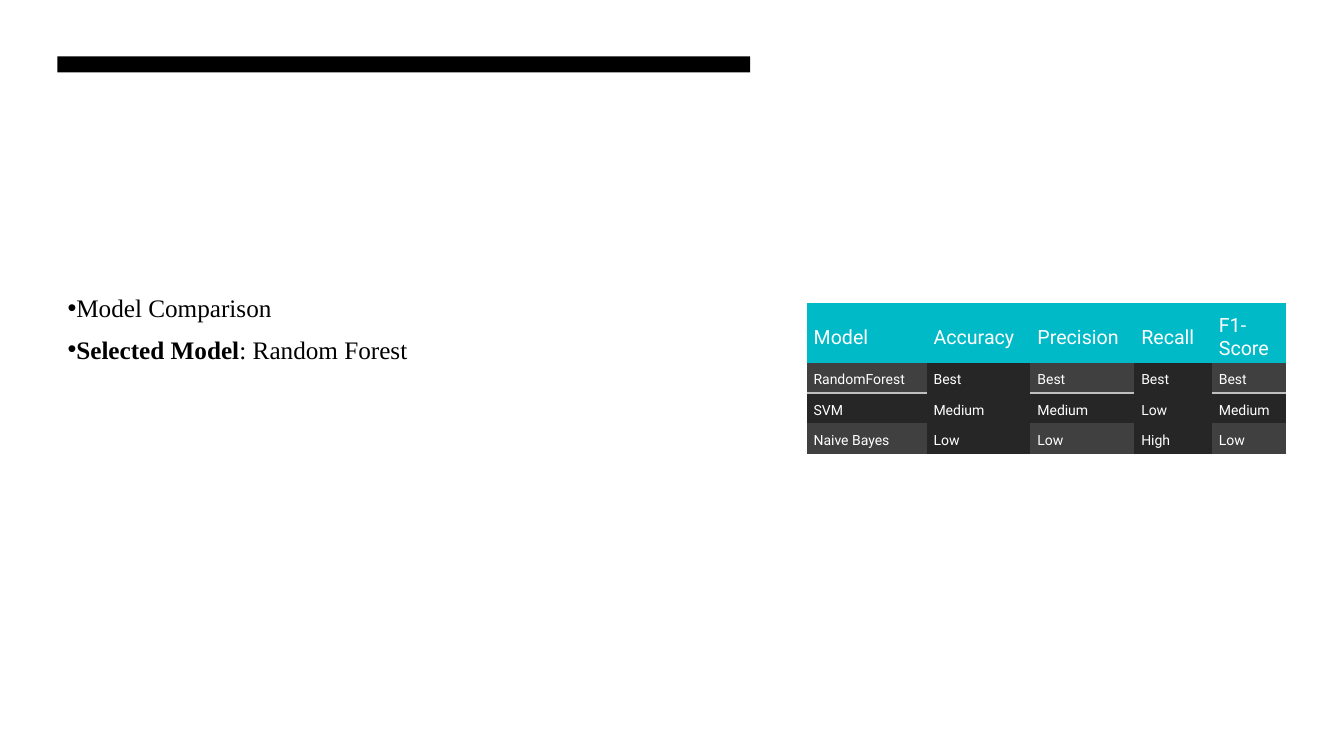
"""Build the model comparison slide."""
import dataclasses

import pptx
import pptx.dml.color
import pptx.enum.shapes
import pptx.enum.text
import pptx.oxml
import pptx.oxml.ns
import pptx.util

Inches = pptx.util.Inches
Pt = pptx.util.Pt
COLORS = {
    "white": "FFFFFF", "black": "000000", "header": "00BAC8",
    "dark": "262626", "band": "404040", "rule": "BFBFBF",
}


@dataclasses.dataclass(frozen=True)
class Column:
    """A table column with its heading and ratings."""
    width: float
    texts: tuple[str, ...]


COLUMNS = (
    Column(1.19, ("Model", "RandomForest", "SVM", "Naive Bayes")),
    Column(1.03, ("Accuracy", "Best", "Medium", "Low")),
    Column(1.03, ("Precision", "Best", "Medium", "Low")),
    Column(0.77, ("Recall", "Best", "Low", "High")),
    Column(0.74, ("F1-Score", "Best", "Medium", "Low")),
)
ROW_HEIGHTS = (0.59, 0.3, 0.3, 0.3)
BULLETS = (
    (("Model Comparison", False),),
    (("Selected Model", True), (": Random Forest", False)),
)


def rgb(name: str) -> pptx.dml.color.RGBColor:
    """Return a palette colour."""
    return pptx.dml.color.RGBColor.from_string(COLORS[name])


def paint(fill, name: str) -> None:
    """Fill with a solid palette colour."""
    fill.solid()
    fill.fore_color.rgb = rgb(name)


def xml(tag: str, attrs: str = "", inner: str = ""):
    """Make a DrawingML element."""
    ns = pptx.oxml.ns.nsdecls("a")
    return pptx.oxml.parse_xml(f"<a:{tag} {ns} {attrs}>{inner}</a:{tag}>")


def add_text(p, text: str, *, font: str, size: float, color: str,
             bold: bool = False) -> None:
    """Append a formatted run to a paragraph."""
    r = p.add_run()
    r.text = text
    r.font.name, r.font.size, r.font.bold = font, Pt(size), bold
    r.font.color.rgb = rgb(color)


def add_bar(s) -> None:
    """Draw the black bar at the top."""
    sp = s.shapes.add_shape(pptx.enum.shapes.MSO_SHAPE.RECTANGLE,
                            Inches(0.57), Inches(0.56), Inches(6.87), Inches(0.16))
    sp.shadow.inherit = False
    paint(sp.fill, "black")
    sp.line.fill.background()


def fill_body(sp) -> None:
    """Place the body placeholder and write the bullets."""
    sp.left, sp.top = Inches(0.57), Inches(2.82)
    sp.width, sp.height = Inches(6.87), Inches(4.12)
    tf = sp.text_frame
    tf.word_wrap = True
    tf.auto_size = pptx.enum.text.MSO_AUTO_SIZE.NONE
    tf.vertical_anchor = pptx.enum.text.MSO_ANCHOR.TOP
    for i, runs in enumerate(BULLETS):
        p = tf.add_paragraph() if i else tf.paragraphs[0]
        p.line_spacing, p.space_before, p.space_after = 1.1, Pt(0), Pt(6)
        pPr = p._p.get_or_add_pPr()
        pPr.set("marL", "0")
        pPr.set("indent", str(-Inches(0.25)))
        pPr.append(xml("buFont", 'typeface="Arial"'))
        pPr.append(xml("buChar", 'char="•"'))
        for text, bold in runs:
            add_text(p, text, font="Times New Roman", size=18, color="black", bold=bold)


def set_borders(cell, ruled: str) -> None:
    """Rule one side of a cell and clear the others."""
    tcPr = cell._tc.get_or_add_tcPr()
    for i, side in enumerate(("lnL", "lnR", "lnT", "lnB")):
        inner = "<a:noFill/>"
        if side == ruled:
            inner = f'<a:solidFill><a:srgbClr val="{COLORS["rule"]}"/></a:solidFill>'
        tcPr.insert(i, xml(side, f'w="{Pt(1)}"', inner))


def format_cell(cell, row: int, col: int, text: str) -> None:
    """Write and style one table cell."""
    head, even = row == 0, col % 2 == 0
    cell.margin_left = cell.margin_right = Inches(0.07)
    cell.margin_top, cell.margin_bottom = Inches(0.09), Inches(0)
    anchor = pptx.enum.text.MSO_ANCHOR
    cell.vertical_anchor = anchor.MIDDLE if head else anchor.TOP
    p = cell.text_frame.paragraphs[0]
    p.space_before = p.space_after = Pt(1.8)
    add_text(p, text, font="Roboto", size=14 if head else 10, color="white")
    paint(cell.fill, "header" if head else "band" if row % 2 and even else "dark")
    set_borders(cell, {1: "lnB", 2: "lnT"}.get(row, "") if even else "")


def add_ratings(s) -> None:
    """Add the table of model ratings."""
    width = sum(c.width for c in COLUMNS)
    table = s.shapes.add_table(len(ROW_HEIGHTS), len(COLUMNS), Inches(8), Inches(3.01),
                               Inches(width), Inches(sum(ROW_HEIGHTS))).table
    table.first_row = table.horz_banding = False
    for row, height in zip(table.rows, ROW_HEIGHTS):
        row.height = Inches(height)
    for j, column in enumerate(COLUMNS):
        table.columns[j].width = Inches(column.width)
        for i, text in enumerate(column.texts):
            format_cell(table.cell(i, j), i, j, text)


def main() -> None:
    """Build and save the slide."""
    prs = pptx.Presentation()
    prs.slide_width, prs.slide_height = Inches(13.33), Inches(7.5)
    s = prs.slides.add_slide(prs.slide_layouts[1])
    paint(s.background.fill, "white")
    title = s.shapes.title._element
    title.getparent().remove(title)
    add_bar(s)
    fill_body(s.placeholders[1])
    add_ratings(s)
    prs.save("out.pptx")


if __name__ == "__main__":
    main()
